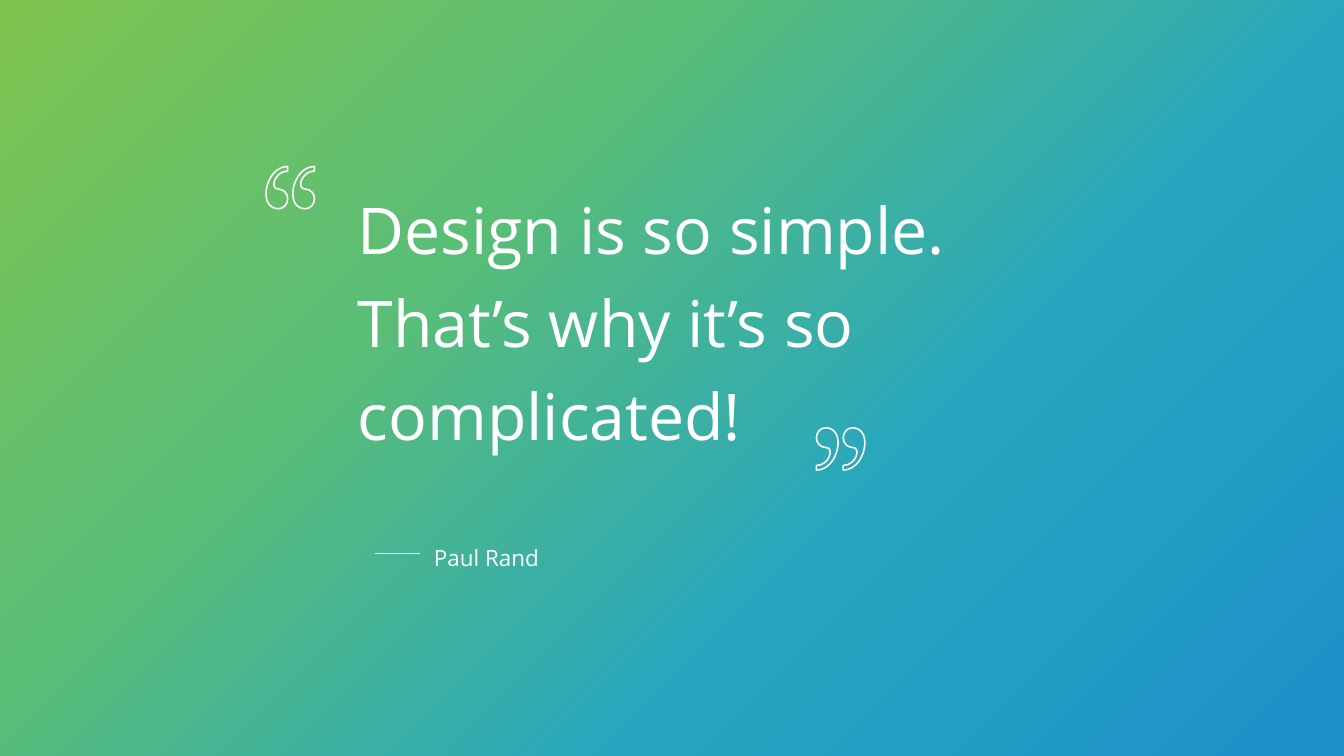
import pptx
import pptx.dml.color
import pptx.enum.shapes
import pptx.oxml.ns
import pptx.oxml.xmlchemy
import pptx.util
from copy import deepcopy
from pptx.util import Cm

RGBColor = pptx.dml.color.RGBColor
WHITE = RGBColor(0xFF, 0xFF, 0xFF)
LIME = RGBColor(0x7F, 0xC4, 0x4F)
GREEN = RGBColor(0x5A, 0xBE, 0x76)
TEAL = RGBColor(0x26, 0xA6, 0xC1)
BLUE = RGBColor(0x1D, 0x90, 0xC9)

WIDTH, HEIGHT = 67.74, 38.1  # cm

# One closing mark: start point, then three points for each curve (cm)
MARK = [(0, 2.13),
        (0, 1.9), (0, 1.9), (0, 1.9),
        (0.64, 1.9), (0.94, 0.99), (0.46, 0.99),
        (0.2, 0.99), (0, 0.76), (0, 0.51),
        (0, 0.23), (0.2, 0), (0.46, 0),
        (1.55, 0), (1.12, 2.13), (0, 2.13)]
MARK_STEP = 1.35


class QuoteSlide:
    font = "Open Sans"
    color = WHITE
    line_width = pptx.util.Pt(2.25)
    line_spacing = 1.2

    def __init__(self, slide):
        self.slide = slide
        self.shapes = slide.shapes

    def style_line(self, line):
        line.color.rgb = self.color
        line.width = self.line_width

    def gradient(self, left, top, width, height, stops, angle):
        panel = self.shapes.add_shape(pptx.enum.shapes.MSO_SHAPE.RECTANGLE,
                                      Cm(left), Cm(top), Cm(width), Cm(height))
        panel.shadow.inherit = False
        panel.line.fill.background()
        panel.fill.gradient()
        panel.fill.gradient_angle = 360 - angle  # the API counts counter-clockwise
        stop_list = next(panel.element.iter(pptx.oxml.ns.qn("a:gsLst")))
        while len(stop_list) < len(stops):
            stop_list.append(deepcopy(stop_list[0]))
        for stop, (position, color) in zip(panel.fill.gradient_stops, stops):
            stop.position = position
            stop.color.rgb = color

    def text(self, left, top, width, height, words, size):
        frame = self.shapes.add_textbox(Cm(left), Cm(top), Cm(width), Cm(height)).text_frame
        frame.word_wrap = True
        frame.margin_left = frame.margin_top = frame.margin_right = frame.margin_bottom = 0
        frame.text = words
        for paragraph in frame.paragraphs:
            paragraph.line_spacing = self.line_spacing
            for run in paragraph.runs:
                run.font.name = self.font
                run.font.size = pptx.util.Pt(size)
                run.font.color.rgb = self.color

    def quote_marks(self, x, y, direction):
        """Two outlined marks; direction -1 turns them by half a circle."""
        first, second = [
            [(Cm(x + direction * (dx + shift)), Cm(y + direction * dy)) for dx, dy in MARK]
            for shift in (0, MARK_STEP)]
        builder = self.shapes.build_freeform(*first[0])
        builder.add_line_segments(first[1:], close=True)
        builder.move_to(*second[0])
        builder.add_line_segments(second[1:], close=True)
        marks = builder.convert_to_shape()
        marks.shadow.inherit = False
        marks.fill.background()
        self.style_line(marks.line)
        # Join every three segments into one Bézier curve
        qn = pptx.oxml.ns.qn
        segments = list(marks.element.iter(qn("a:lnTo")))
        for i in range(0, len(segments), 3):
            curve = pptx.oxml.xmlchemy.OxmlElement("a:cubicBezTo")
            segments[i].addprevious(curve)
            for segment in segments[i:i + 3]:
                curve.append(segment[0])
                segment.getparent().remove(segment)

    def rule(self, x1, y1, x2, y2):
        dash = self.shapes.add_connector(pptx.enum.shapes.MSO_CONNECTOR.STRAIGHT,
                                         Cm(x1), Cm(y1), Cm(x2), Cm(y2))
        self.style_line(dash.line)
        dash.element.spPr.append(pptx.oxml.xmlchemy.OxmlElement("a:effectLst"))


def main():
    deck = pptx.Presentation()
    deck.slide_width, deck.slide_height = Cm(WIDTH), Cm(HEIGHT)
    page = QuoteSlide(deck.slides.add_slide(deck.slide_layouts[6]))

    # Background
    page.gradient(0, 0, WIDTH, HEIGHT,
                  [(0, LIME), (0.33, GREEN), (0.66, TEAL), (1, BLUE)], 45)

    # Quote between its marks
    page.text(18.03, 8.81, 31.65, 13.82,
              "Design is so simple.\nThat’s why it’s so complicated!", 92)
    page.quote_marks(15.85, 10.52, -1)
    page.quote_marks(41.15, 21.56, 1)

    # Author
    page.rule(18.9, 27.89, 21.18, 27.89)
    page.text(21.87, 27.13, 11, 1.52, "Paul Rand", 32)

    deck.save("out.pptx")


if __name__ == "__main__":
    main()
